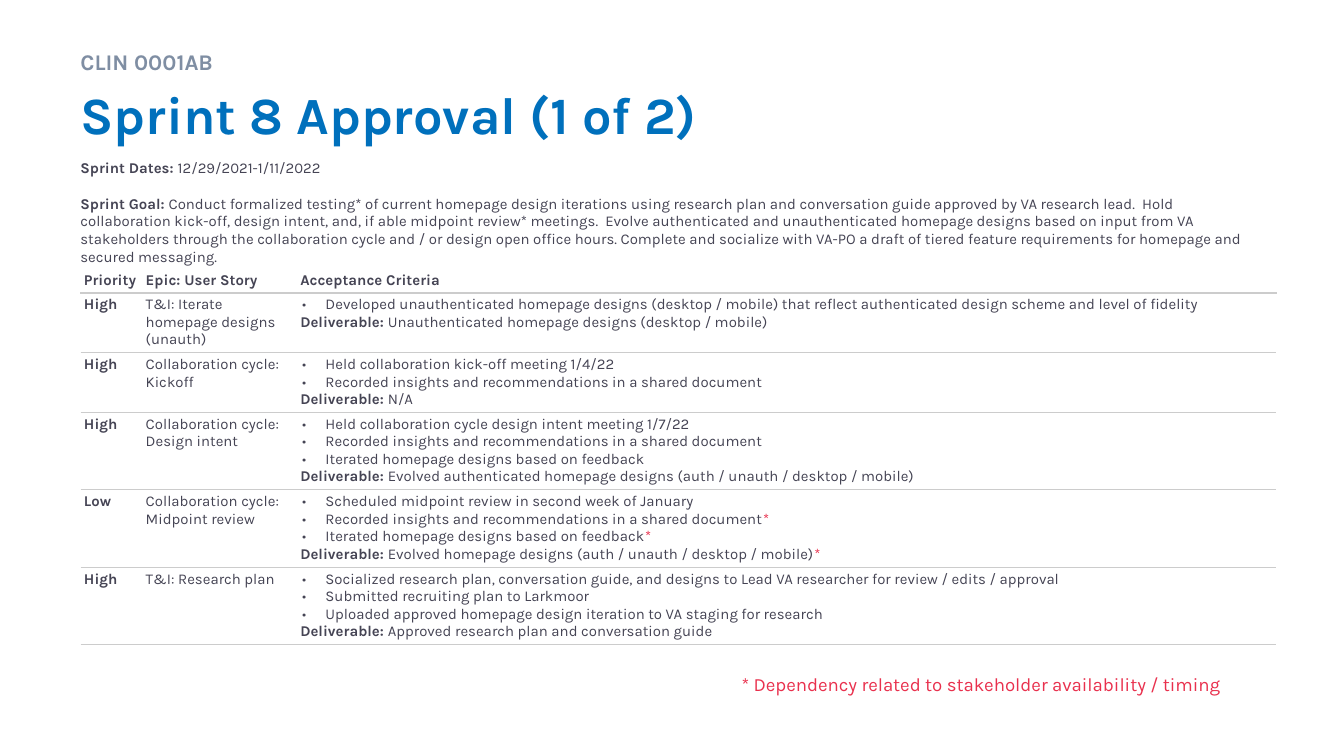
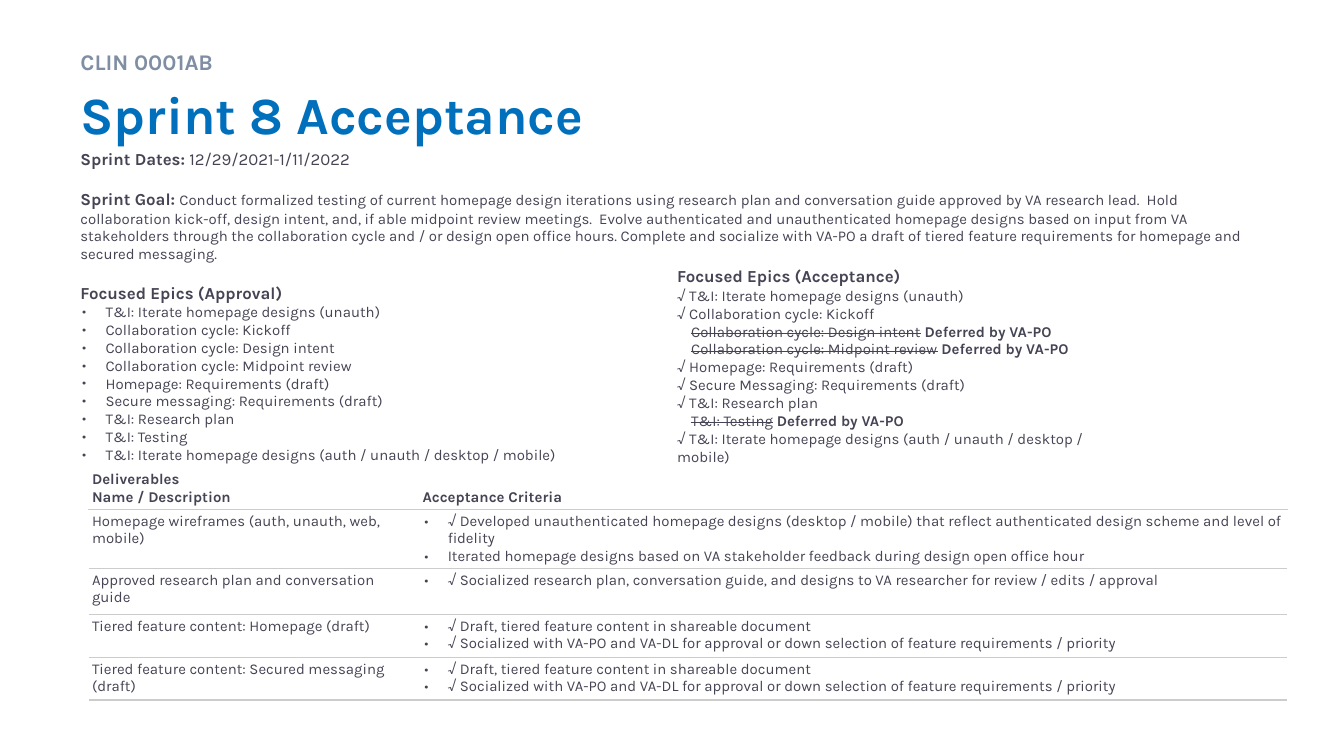
from pptx import Presentation
from pptx.util import Pt
from pptx.dml.color import RGBColor
from pptx.enum.shapes import MSO_SHAPE as Shape
from pptx.enum.text import MSO_ANCHOR as Anchor, MSO_AUTO_SIZE as Auto, PP_ALIGN as Align
from pptx.oxml.ns import qn
from lxml.etree import SubElement as Sub

FONT = "Karla"
BLUE, SLATE, INK, RED = "0070BC", "7F8EA3", "454454", "E9304D"
RULE, WHITE = "CCCCCC", "FFFFFF"

DATES = "12/29/2021-1/11/2022"
GOAL = (
    "Conduct formalized testing{0} of current homepage design iterations using research plan "
    "and conversation guide approved by VA research lead.  Hold collaboration kick-off, design "
    "intent, and, if able midpoint review{0} meetings.  Evolve authenticated and unauthenticated "
    "homepage designs based on input from VA stakeholders through the collaboration cycle and / or "
    "design open office hours. Complete and socialize with VA-PO a draft of tiered feature "
    "requirements for homepage and secured messaging."
)
NOTE = "* Dependency related to stakeholder availability / timing"
SHARED = "•Recorded insights and recommendations in a shared document"
REWORK = "•Iterated homepage designs based on feedback"
UNAUTH = "T&I: Iterate homepage designs (unauth)"
KICK = "Collaboration cycle: Kickoff"
INTENT = "Collaboration cycle: Design intent"
MID = "Collaboration cycle: Midpoint review"
PLAN = "T&I: Research plan"
HOME = "Homepage: Requirements (draft)"
TEST = "T&I: Testing"
AUTH = "T&I: Iterate homepage designs (auth / unauth / desktop / mobile)"
LATE = "| |#Deferred by VA-PO"
DEV = ("Developed unauthenticated homepage designs (desktop / mobile) that reflect "
       "authenticated design scheme and level of fidelity")

STORIES = [
    (["#Priority"], ["#Epic: User Story"], ["#Acceptance Criteria"]),
    (["#High"], [UNAUTH], [
        "•" + DEV,
        "#Deliverable:| Unauthenticated homepage designs (desktop / mobile)"]),
    (["#High"], [KICK], [
        "•Held collaboration kick-off meeting 1/4/22", SHARED, "#Deliverable:| N/A"]),
    (["#High"], [INTENT], [
        "•Held collaboration cycle design intent meeting 1/7/22", SHARED, REWORK,
        "#Deliverable:| Evolved authenticated homepage designs (auth / unauth / desktop / mobile)"]),
    (["#Low"], [MID], [
        "•Scheduled midpoint review in second week of January", SHARED + "|^*", REWORK + "|^*",
        "#Deliverable:| Evolved homepage designs (auth / unauth / desktop / mobile)|^*"]),
    (["#High"], [PLAN], [
        "•Socialized research plan, conversation guide, and designs to Lead VA researcher "
        "for review / edits / approval",
        "•Submitted recruiting plan to Larkmoor",
        "•Uploaded approved homepage design iteration to VA staging for research",
        "#Deliverable:| Approved research plan and conversation guide"]),
]

DRAFT = [
    "•√ Draft, tiered feature content in shareable document",
    "•√ Socialized with VA-PO and VA-DL for approval or down selection of feature "
    "requirements / priority",
]
OUTPUT = [
    (["#Deliverables", "#Name / Description"], ["#Acceptance Criteria"]),
    (["Homepage wireframes (auth, unauth, web, mobile)"], [
        "•√ " + DEV,
        "•Iterated homepage designs based on VA stakeholder feedback during design open office hour"]),
    (["Approved research plan and conversation guide"], [
        "•√ Socialized research plan, conversation guide, and designs to VA researcher "
        "for review / edits / approval"]),
    (["Tiered feature content: Homepage (draft)"], DRAFT),
    (["Tiered feature content: Secured messaging (draft)"], DRAFT),
]

EPICS = [UNAUTH, KICK, INTENT, MID, HOME, "Secure messaging: Requirements (draft)",
         PLAN, TEST, AUTH]
DONE = [
    "+Focused Epics (Acceptance)", "√ " + UNAUTH, "√ " + KICK,
    ">~" + INTENT + LATE, ">~" + MID + LATE,
    "√ " + HOME, "√ Secure Messaging: Requirements (draft)", "√ " + PLAN,
    ">~" + TEST + LATE, "√ " + AUTH,
]


def paint(tone):
    return RGBColor.from_string(tone)


def style(run, size, tone=INK, bold=False):
    font = run.font
    font.name, font.size, font.bold = FONT, Pt(size), bold
    font.color.rgb = paint(tone)


def write(para, text):
    para.alignment = Align.LEFT
    props = para._p.get_or_add_pPr()
    if text[0] == "•":
        props.set("marL", str(Pt(13.5)))
        props.set("indent", str(-Pt(12.5)))
        Sub(Sub(props, qn("a:buClr")), qn("a:srgbClr"), val=INK)
        Sub(props, qn("a:buFont"), typeface=FONT)
        Sub(props, qn("a:buChar"), char="•")
    elif text[0] == ">":
        props.set("marL", str(Pt(7.5)))
    for part in text.lstrip("•>").split("|"):
        mark = part[0] if part[0] in "#+=~^" else ""
        run = para.add_run()
        run.text = part[len(mark):]
        style(run, 9 if mark in ("+", "=") else 8, RED if mark == "^" else INK,
              mark in ("#", "+"))
        if mark == "~":
            run.font._element.set("strike", "sngStrike")


def fill(frame, lines, gaps=None):
    for i, line in enumerate(lines):
        para = frame.paragraphs[0] if i == 0 else frame.add_paragraph()
        write(para, line)
        if gaps and i in gaps:
            para.space_before = Pt(gaps[i])


def setup(frame, side=7.2, top=7.2):
    frame.word_wrap = True
    frame.auto_size = Auto.NONE
    frame.vertical_anchor = Anchor.TOP
    frame.margin_left = frame.margin_right = Pt(side)
    frame.margin_top = frame.margin_bottom = Pt(top)
    return frame


def box(slide, *spot, top=7.2):
    return setup(slide.shapes.add_textbox(*map(Pt, spot)).text_frame, top=top)


def label(frame, text, size, tone, bold, lead=1.0):
    frame.text = text
    para = frame.paragraphs[0]
    para.alignment = Align.LEFT
    para.line_spacing = lead
    style(para.runs[0], size, tone, bold)


def start(deck, name):
    slide = deck.slides.add_slide(deck.slide_layouts[5])
    title = slide.shapes.title
    title.left, title.top, title.width, title.height = map(Pt, (36, 40.3, 648, 49.7))
    label(setup(title.text_frame, top=3.6), name, 28, BLUE, True)
    label(box(slide, 36, 19.4, 648, 20.9, top=3.6), "CLIN 0001AB", 12, SLATE, True, 1.2)
    return slide


def edge(cell, side, tone):
    line = Sub(cell._tc.get_or_add_tcPr(), qn("a:ln" + side), w=str(Pt(0.75)))
    if tone:
        Sub(Sub(line, qn("a:solidFill")), qn("a:srgbClr"), val=tone)
    else:
        Sub(line, qn("a:noFill"))


def grid(slide, rows, left, top, wide, tall):
    spot = map(Pt, (left, top, sum(wide), sum(tall)))
    table = slide.shapes.add_table(len(rows), len(wide), *spot).table
    table.first_row = table.horz_banding = False
    for col, size in zip(table.columns, wide):
        col.width = Pt(size)
    for r, row in enumerate(rows):
        table.rows[r].height = Pt(tall[r])
        for c, lines in enumerate(row):
            cell = table.cell(r, c)
            cell.margin_left = cell.margin_right = Pt(1.8)
            cell.margin_top = cell.margin_bottom = Pt(1.8)
            cell.vertical_anchor = Anchor.TOP if r else Anchor.BOTTOM
            side = None if r else WHITE
            for name, tone in zip("LRTB", (side, side, RULE if r else WHITE, RULE)):
                edge(cell, name, tone)
            cell.fill.background()
            fill(cell.text_frame, lines)


def approve(deck):
    slide = start(deck, "Sprint 8 Approval (1 of 2)")
    lines = ["#Sprint Dates: |" + DATES, "#Sprint Goal:| " + GOAL.format("*")]
    fill(box(slide, 36, 77.8, 648, 63.4), lines, {1: 9.4})
    grid(slide, STORIES, 43.2, 144, (33.1, 82.8, 524.5), (12.6, 32, 32, 41.5, 41.5, 41.5))
    label(box(slide, 390.2, 353.2, 300.2, 26.6), NOTE, 10, RED, False)


def accept(deck):
    slide = start(deck, "Sprint 8 Acceptance")
    lines = ["+Sprint Dates: |=" + DATES, "+Sprint Goal: |" + GOAL.format(""),
             "+Focused Epics (Approval)"] + ["•" + epic for epic in EPICS]
    fill(box(slide, 36, 72.7, 648, 175.7), lines, {1: 10.5, 2: 10.5})
    grid(slide, OUTPUT, 47.5, 250.6, (177.1, 465.1), (21.6, 31.6, 24.5, 23, 23))
    panel = slide.shapes.add_shape(Shape.RECTANGLE, *map(Pt, (355.7, 135.4, 249.1, 113)))
    panel.shadow.inherit = False
    panel.fill.solid()
    panel.fill.fore_color.rgb = paint(WHITE)
    panel.line.fill.background()
    fill(setup(panel.text_frame), DONE)


def main():
    deck = Presentation()
    deck.slide_width, deck.slide_height = Pt(720), Pt(405)
    approve(deck)
    accept(deck)
    deck.save("out.pptx")


if __name__ == "__main__":
    main()
